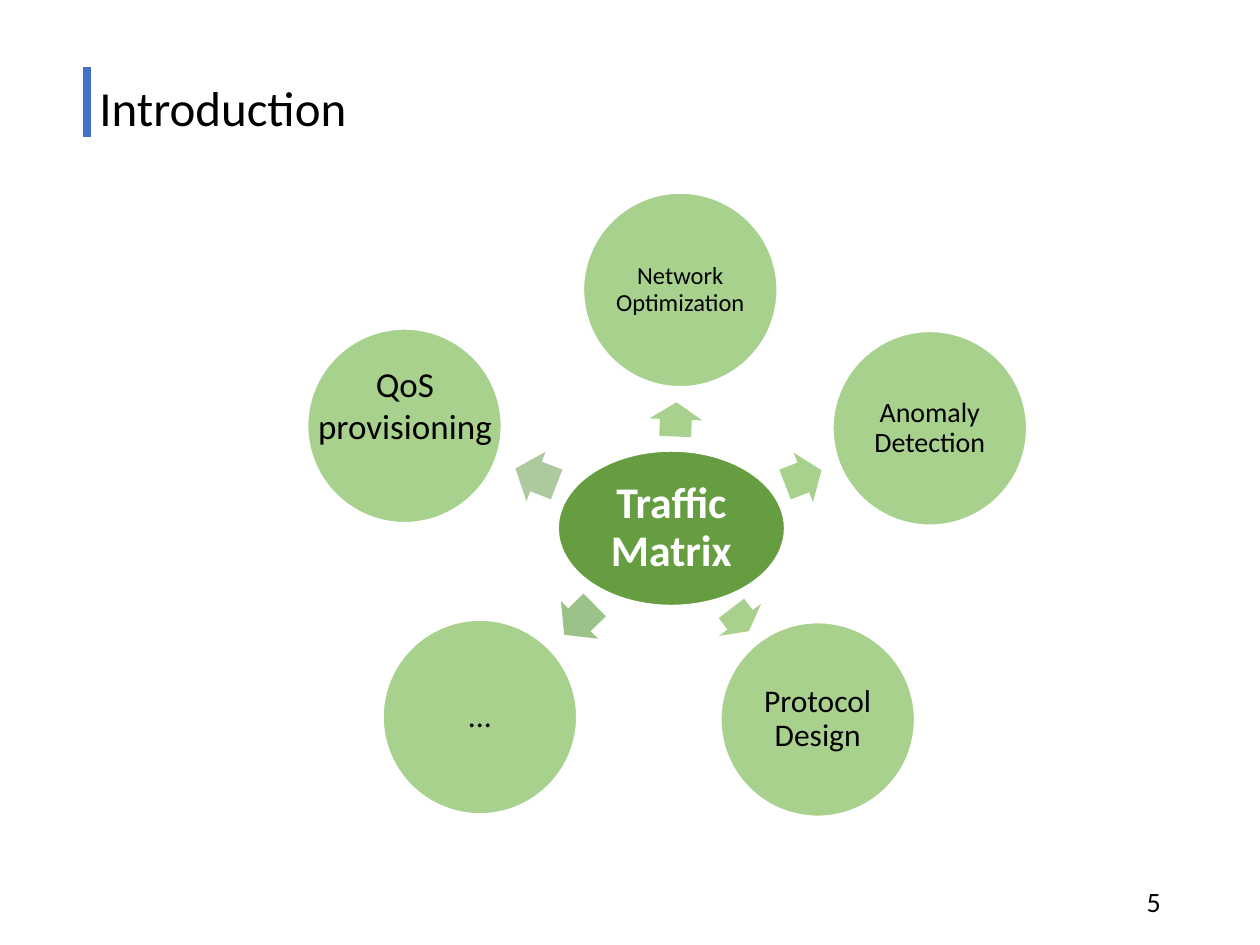
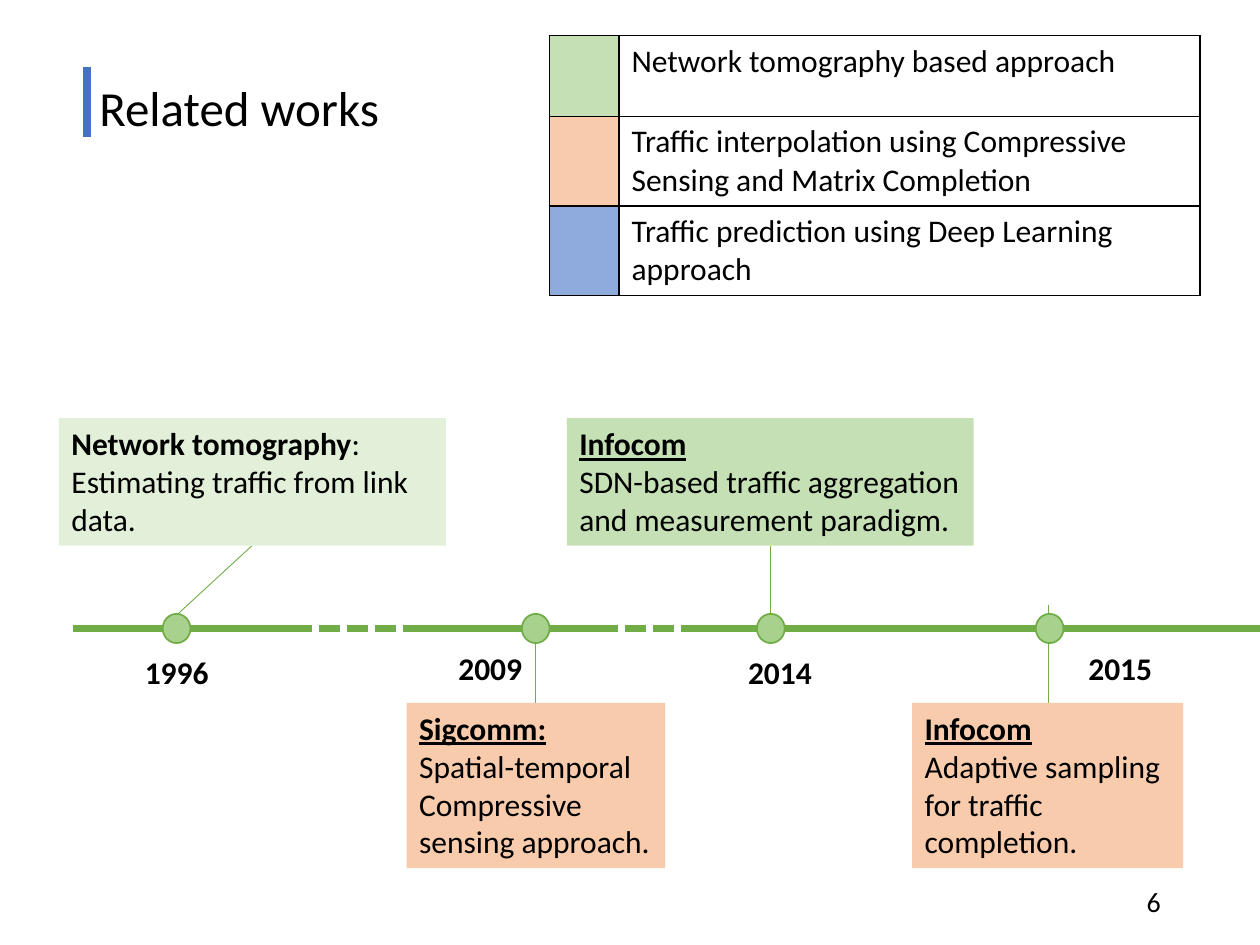
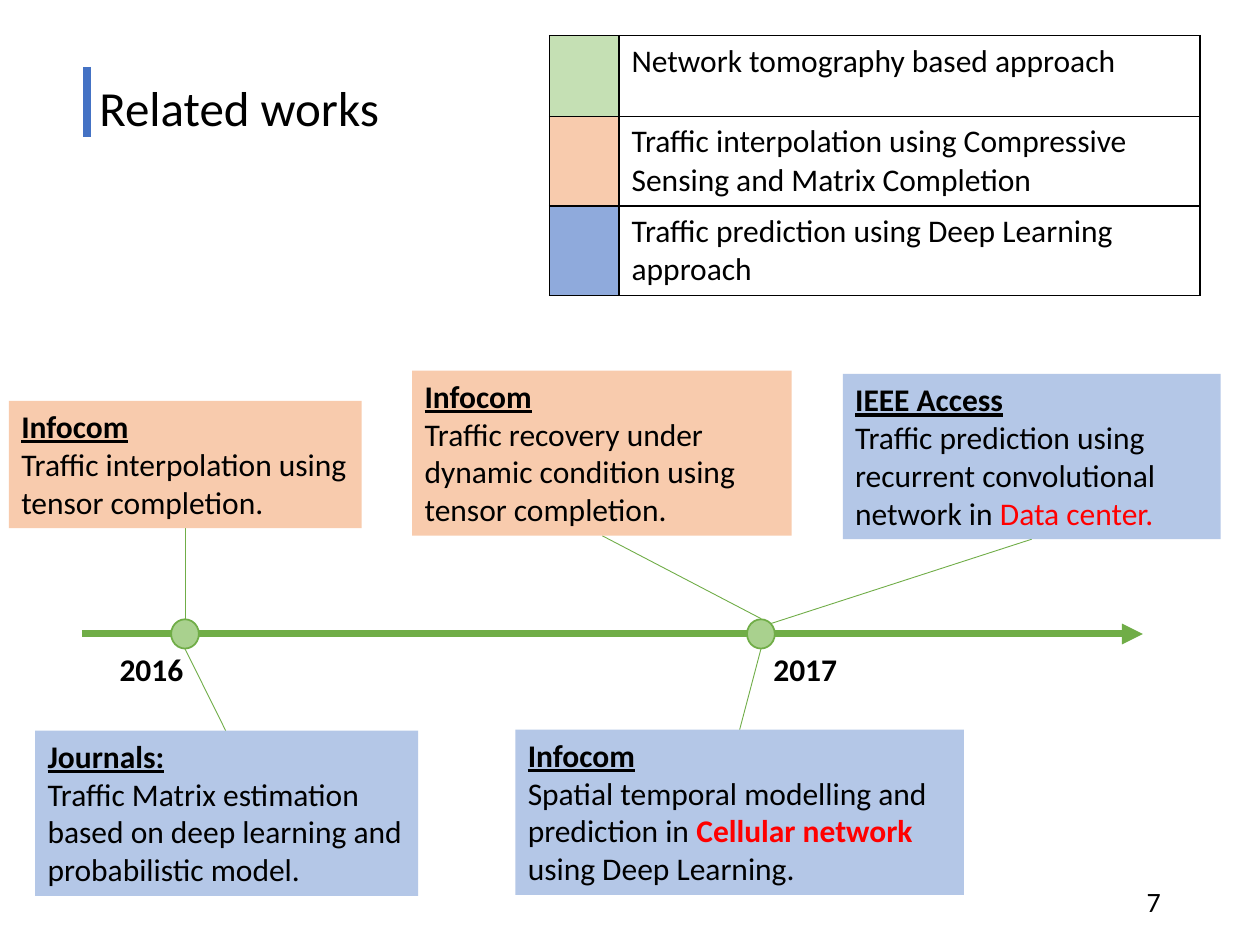
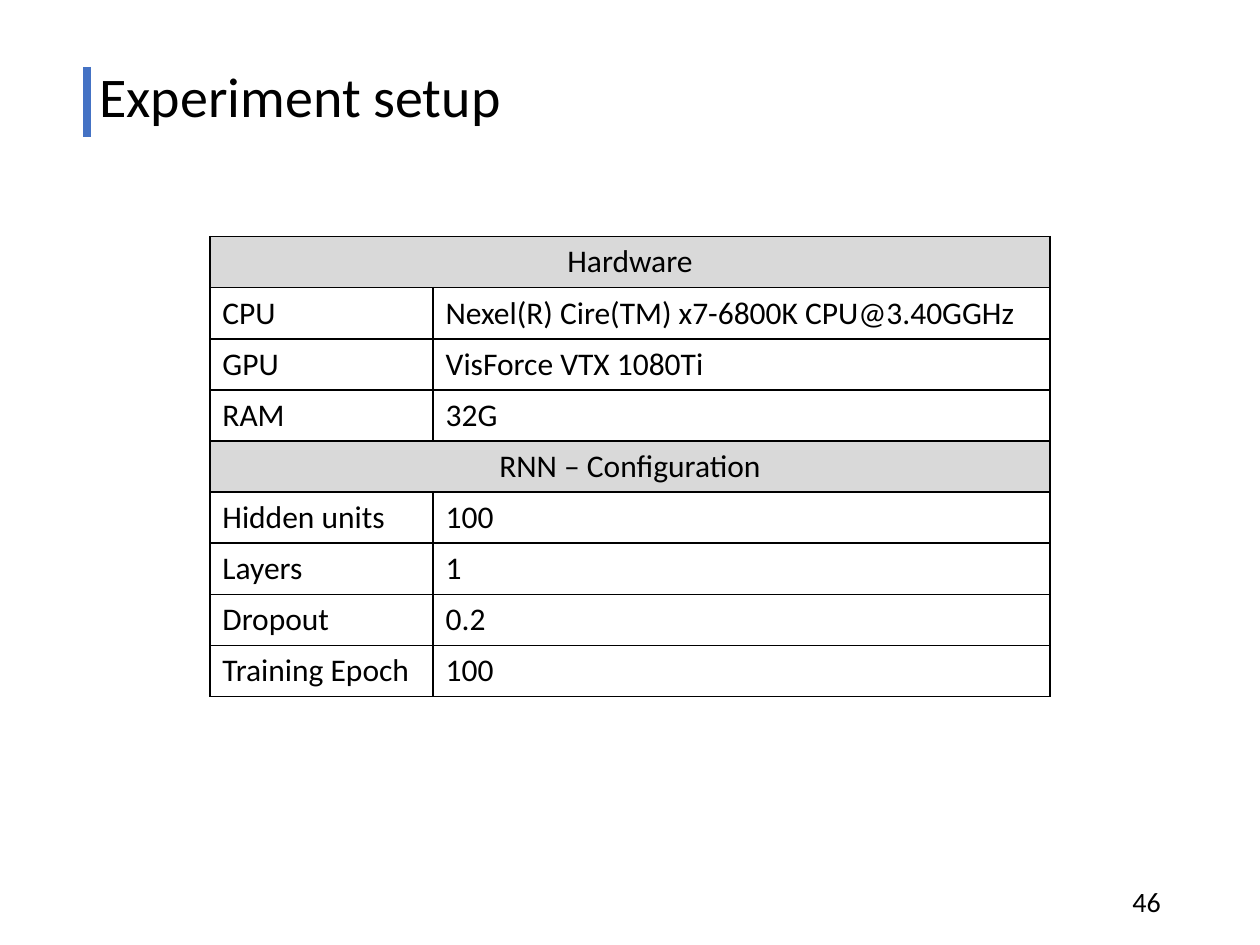
from typing import NamedTuple

from lxml.etree import SubElement
from pptx import Presentation
from pptx.dml.color import RGBColor
from pptx.enum.dml import MSO_LINE
from pptx.enum.shapes import MSO_CONNECTOR, MSO_SHAPE
from pptx.enum.text import MSO_ANCHOR, MSO_AUTO_SIZE, PP_ALIGN
from pptx.oxml.ns import qn
from pptx.util import Cm, Pt

# Shared look
FONT = "Calibri"
BLACK, WHITE, RED = "000000", "FFFFFF", "FF0000"
ACCENT_BLUE = "4472C4"
AXIS_GREEN, CIRCLE_GREEN, HUB_GREEN = "70AD47", "A9D18E", "669D40"
PALE_GREEN, TOMOGRAPHY_GREEN = "E2F0D9", "C5E0B4"
INTERPOLATION_ORANGE = "F8CBAD"
PREDICTION_BLUE, LEGEND_BLUE = "B4C7E7", "8FAADC"
HEADER_GRAY = "D9D9D9"

CIRCLE_SIZE = 3.91
ARROW_HEIGHT = 1.07
DOT_WIDTH, DOT_HEIGHT = 0.56, 0.59


class Run(NamedTuple):
    text: str
    bold: bool = False
    underline: bool = False
    color: str = BLACK


class Circle(NamedTuple):
    left: float
    top: float
    text: str = ""
    size: float = 18


class Arrow(NamedTuple):
    left: float
    top: float
    width: float
    rotation: float
    color: str = CIRCLE_GREEN


class Card(NamedTuple):
    left: float
    top: float
    width: float
    height: float
    color: str
    heading: list[Run]
    body: list[Run]


class Line(NamedTuple):
    x1: float
    y1: float
    x2: float
    y2: float


class Segment(NamedTuple):
    start: float
    end: float
    dashed: bool = False
    arrow: bool = False


class Year(NamedTuple):
    text: str
    left: float
    top: float


class Timeline(NamedTuple):
    axis_y: float
    segments: list[Segment]
    dots: list[float]
    leaders: list[Line]
    years: list[Year]
    cards: list[Card]


def rgb(color: str) -> RGBColor:
    return RGBColor.from_string(color)


# Text
def write_text(paragraph, text: str, *, size: float = 18, color: str = BLACK,
               bold: bool = False, underline: bool = False) -> None:
    run = paragraph.add_run()
    run.text = text
    font = run.font
    font.name, font.size = FONT, Pt(size)
    font.bold, font.underline = bold, underline
    font.color.rgb = rgb(color)


def format_frame(frame, *, anchor=MSO_ANCHOR.TOP, wrap: bool = True,
                 inset: float | None = None) -> None:
    frame.word_wrap = wrap
    frame.auto_size = MSO_AUTO_SIZE.NONE
    frame.vertical_anchor = anchor
    if inset is not None:
        frame.margin_left = frame.margin_right = Cm(inset)
        frame.margin_top = frame.margin_bottom = Cm(inset)


def add_label(slide, text: str, left: float, top: float, width: float, height: float, *,
              align=PP_ALIGN.LEFT, anchor=MSO_ANCHOR.TOP, wrap: bool = True, **style) -> None:
    box = slide.shapes.add_textbox(Cm(left), Cm(top), Cm(width), Cm(height))
    format_frame(box.text_frame, anchor=anchor, wrap=wrap)
    paragraph = box.text_frame.paragraphs[0]
    paragraph.alignment = align
    write_text(paragraph, text, **style)


# Shapes and lines
def add_figure(slide, kind, left: float, top: float, width: float, height: float,
               fill: str, outline: str | None = None):
    shape = slide.shapes.add_shape(kind, Cm(left), Cm(top), Cm(width), Cm(height))
    shape.shadow.inherit = False
    shape.fill.solid()
    shape.fill.fore_color.rgb = rgb(fill)
    if outline:
        shape.line.color.rgb = rgb(outline)
        shape.line.width = Pt(1)
    else:
        shape.line.fill.background()
    return shape


def add_line(slide, line: Line, color: str, width: float, *,
             dashed: bool = False, arrow: bool = False) -> None:
    connector = slide.shapes.add_connector(
        MSO_CONNECTOR.STRAIGHT, Cm(line.x1), Cm(line.y1), Cm(line.x2), Cm(line.y2))
    connector.line.color.rgb = rgb(color)
    connector.line.width = Pt(width)
    if dashed:
        connector.line.dash_style = MSO_LINE.SQUARE_DOT
    properties = connector._element.spPr
    if arrow:
        SubElement(properties.find(qn("a:ln")), qn("a:tailEnd"), type="triangle")
    SubElement(properties, qn("a:effectLst"))


def add_round(slide, left: float, top: float, width: float, height: float, fill: str,
              text: str, **style) -> None:
    shape = add_figure(slide, MSO_SHAPE.OVAL, left, top, width, height, fill, WHITE)
    if text:
        format_frame(shape.text_frame, anchor=MSO_ANCHOR.MIDDLE, inset=0.06)
        paragraph = shape.text_frame.paragraphs[0]
        paragraph.alignment = PP_ALIGN.CENTER
        paragraph.line_spacing = 0.9
        write_text(paragraph, text, **style)


def add_card(slide, card: Card) -> None:
    shape = add_figure(slide, MSO_SHAPE.RECTANGLE, card.left, card.top,
                       card.width, card.height, card.color)
    frame = shape.text_frame
    format_frame(frame)
    for paragraph, runs in ((frame.paragraphs[0], card.heading),
                            (frame.add_paragraph(), card.body)):
        paragraph.alignment = PP_ALIGN.LEFT
        for run in runs:
            write_text(paragraph, run.text, bold=run.bold,
                       underline=run.underline, color=run.color)


# Tables
def format_cell(cell, text: str, fill: str | None, align=PP_ALIGN.LEFT) -> None:
    properties = cell._tc.get_or_add_tcPr()
    for side in ("lnL", "lnR", "lnT", "lnB"):
        border = SubElement(properties, qn(f"a:{side}"), w=str(Pt(1)))
        SubElement(SubElement(border, qn("a:solidFill")), qn("a:srgbClr"), val=BLACK)
    if fill:
        cell.fill.solid()
        cell.fill.fore_color.rgb = rgb(fill)
    else:
        cell.fill.background()
    if text:
        paragraph = cell.text_frame.paragraphs[0]
        paragraph.alignment = align
        write_text(paragraph, text)


def add_grid(slide, left: float, top: float, widths: list[float], heights: list[float]):
    table = slide.shapes.add_table(
        len(heights), len(widths), Cm(left), Cm(top),
        Cm(sum(widths)), Cm(sum(heights))).table
    table.first_row = table.horz_banding = False
    for column, width in zip(table.columns, widths):
        column.width = Cm(width)
    for row, height in zip(table.rows, heights):
        row.height = Cm(height)
    return table


def add_legend(slide) -> None:
    entries = [
        (TOMOGRAPHY_GREEN, "Network tomography based approach"),
        (INTERPOLATION_ORANGE,
         "Traffic interpolation using Compressive Sensing and Matrix Completion"),
        (LEGEND_BLUE, "Traffic prediction using Deep Learning approach"),
    ]
    table = add_grid(slide, 11.08, 0.72, [1.4, 11.71], [1.63, 1.78, 1.78])
    for row, (color, text) in enumerate(entries):
        format_cell(table.cell(row, 0), "", color)
        format_cell(table.cell(row, 1), text, None)


# Slide frame: title, accent bar and number
def add_page(presentation, title: str, number: int, *,
             title_top: float = 1.02, title_size: float = 28):
    slide = presentation.slides.add_slide(presentation.slide_layouts[5])
    shape = slide.shapes.title
    shape.left, shape.top, shape.width, shape.height = (
        Cm(1.75), Cm(title_top), Cm(21.9), Cm(2.44))
    format_frame(shape.text_frame, anchor=MSO_ANCHOR.MIDDLE)
    paragraph = shape.text_frame.paragraphs[0]
    paragraph.alignment = PP_ALIGN.LEFT
    paragraph.line_spacing = 0.9
    write_text(paragraph, title, size=title_size)
    add_line(slide, Line(1.75, 1.35, 1.75, 2.77), ACCENT_BLUE, 4.5)
    add_label(slide, str(number), 17.93, 17.65, 5.72, 1.02,
              align=PP_ALIGN.RIGHT, anchor=MSO_ANCHOR.MIDDLE, size=16)
    return slide


# Introduction: hub with its applications
def build_introduction(presentation) -> None:
    slide = add_page(presentation, "Introduction", 5)
    add_round(slide, 11.25, 9.09, 4.57, 3.12, HUB_GREEN, "Traffic Matrix",
              size=25, color=WHITE, bold=True)
    arrows = [
        Arrow(13.28, 7.92, 0.69, 272.2),
        Arrow(15.8, 9.09, 0.79, 338.7),
        Arrow(14.63, 11.96, 0.58, 52.6),
        Arrow(11.25, 11.96, 0.86, 135.5, "9BC288"),
        Arrow(10.36, 9.07, 0.89, 201.1, "ADCA9F"),
    ]
    for arrow in arrows:
        shape = add_figure(slide, MSO_SHAPE.RIGHT_ARROW, arrow.left, arrow.top,
                           arrow.width, ARROW_HEIGHT, arrow.color)
        shape.adjustments[0], shape.adjustments[1] = 0.6, 0.5
        shape.rotation = arrow.rotation
    circles = [
        Circle(11.76, 3.89, "Network Optimization", 14),
        Circle(16.79, 6.68, "Anomaly Detection", 16),
        Circle(14.53, 12.55, "Protocol Design"),
        Circle(7.72, 12.5, "..."),
        Circle(6.2, 6.63),
    ]
    for circle in circles:
        add_round(slide, circle.left, circle.top, CIRCLE_SIZE, CIRCLE_SIZE,
                  CIRCLE_GREEN, circle.text, size=circle.size)
    add_label(slide, "QoS provisioning", 6.12, 7.19, 4.09, 1.96,
              align=PP_ALIGN.CENTER, size=20)


# Related works: timelines with legend
def build_timeline(presentation, number: int, timeline: Timeline) -> None:
    slide = add_page(presentation, "Related works", number)
    axis_y = timeline.axis_y
    for segment in timeline.segments:
        add_line(slide, Line(segment.start, axis_y, segment.end, axis_y), AXIS_GREEN, 4,
                 dashed=segment.dashed, arrow=segment.arrow)
    for leader in timeline.leaders:
        add_line(slide, leader, AXIS_GREEN, 0.5)
    for x in timeline.dots:
        add_figure(slide, MSO_SHAPE.OVAL, x - DOT_WIDTH / 2, axis_y - DOT_HEIGHT / 2,
                   DOT_WIDTH, DOT_HEIGHT, CIRCLE_GREEN, AXIS_GREEN)
    for year in timeline.years:
        add_label(slide, year.text, year.left, year.top, 1.8, 1.02, wrap=False, bold=True)
    for card in timeline.cards:
        add_card(slide, card)
    add_legend(slide)


def venue(name: str) -> list[Run]:
    return [Run(name, bold=True, underline=True)]


EARLY_WORKS = Timeline(
    axis_y=12.67,
    segments=[
        Segment(1.47, 5.87),
        Segment(5.87, 8.13, dashed=True),
        Segment(8.15, 12.04),
        Segment(12.04, 14.3, dashed=True),
        Segment(13.89, 25.4),
    ],
    dots=[3.56, 10.8, 15.54, 21.16],
    leaders=[
        Line(3.56, 12.4, 5.08, 11),
        Line(10.8, 12.98, 10.8, 14.17),
        Line(15.54, 12.4, 15.54, 11),
        Line(21.13, 12.19, 21.13, 14.17),
    ],
    years=[
        Year("1996", 2.67, 13.03),
        Year("2009", 8.99, 12.95),
        Year("2014", 14.83, 13.03),
        Year("2015", 21.69, 12.95),
    ],
    cards=[
        Card(1.19, 8.43, 7.8, 2.57, PALE_GREEN,
             [Run("Network tomography", bold=True), Run(":")],
             [Run("Estimating traffic from link data.")]),
        Card(11.43, 8.43, 8.2, 2.57, TOMOGRAPHY_GREEN, venue("Infocom"),
             [Run("SDN-based traffic aggregation and measurement paradigm.")]),
        Card(8.2, 14.17, 5.21, 3.33, INTERPOLATION_ORANGE, venue("Sigcomm:"),
             [Run("Spatial-temporal Compressive sensing approach.")]),
        Card(18.39, 14.17, 5.46, 3.33, INTERPOLATION_ORANGE, venue("Infocom"),
             [Run("Adaptive sampling for traffic completion.")]),
    ],
)

RECENT_WORKS = Timeline(
    axis_y=12.78,
    segments=[Segment(1.65, 23.04, arrow=True)],
    dots=[3.73, 15.34],
    leaders=[
        Line(3.73, 12.47, 3.73, 10.64),
        Line(4.55, 14.73, 3.73, 13.08),
        Line(15.34, 12.47, 12.14, 10.8),
        Line(15.34, 13.08, 14.91, 14.71),
        Line(15.54, 12.57, 20.8, 10.87),
    ],
    years=[Year("2016", 2.16, 12.98), Year("2017", 15.34, 12.98)],
    cards=[
        Card(0.18, 8.08, 7.11, 2.57, INTERPOLATION_ORANGE, venue("Infocom"),
             [Run("Traffic interpolation using tensor completion.")]),
        Card(0.71, 14.73, 7.72, 3.33, PREDICTION_BLUE, venue("Journals:"),
             [Run("Traffic Matrix estimation based on deep learning and "
                  "probabilistic model.")]),
        Card(8.31, 7.47, 7.65, 3.33, INTERPOLATION_ORANGE, venue("Infocom"),
             [Run("Traffic recovery under dynamic condition using tensor completion.")]),
        Card(10.39, 14.71, 9.04, 3.33, PREDICTION_BLUE, venue("Infocom"),
             [Run("Spatial temporal modelling and prediction in "),
              Run("Cellular network ", bold=True, color=RED),
              Run("using Deep Learning.")]),
        Card(16.99, 7.54, 7.62, 3.33, PREDICTION_BLUE, venue("IEEE Access"),
             [Run("Traffic prediction using recurrent convolutional network in "),
              Run("Data center.", color=RED)]),
    ],
)


# Experiment setup: one-item rows are section headers
def build_setup(presentation) -> None:
    slide = add_page(presentation, "Experiment setup", 46, title_top=0.79, title_size=32)
    rows = [
        ("Hardware",),
        ("CPU", "Nexel(R) Cire(TM) x7-6800K CPU@3.40GGHz"),
        ("GPU", "VisForce VTX 1080Ti"),
        ("RAM", "32G"),
        ("RNN – Configuration",),
        ("Hidden units", "100"),
        ("Layers", "1"),
        ("Dropout", "0.2"),
        ("Training Epoch", "100"),
    ]
    table = add_grid(slide, 4.23, 4.77, [4.5, 12.44], [1.03] * len(rows))
    for index, row in enumerate(rows):
        label, value = table.cell(index, 0), table.cell(index, 1)
        if len(row) == 1:
            label.merge(value)
            format_cell(label, row[0], HEADER_GRAY, PP_ALIGN.CENTER)
            format_cell(value, "", HEADER_GRAY)
        else:
            format_cell(label, row[0], None)
            format_cell(value, row[1], None)


def main() -> None:
    presentation = Presentation()
    presentation.slide_width, presentation.slide_height = Cm(25.4), Cm(19.05)
    build_introduction(presentation)
    build_timeline(presentation, 6, EARLY_WORKS)
    build_timeline(presentation, 7, RECENT_WORKS)
    build_setup(presentation)
    presentation.save("out.pptx")


if __name__ == "__main__":
    main()
